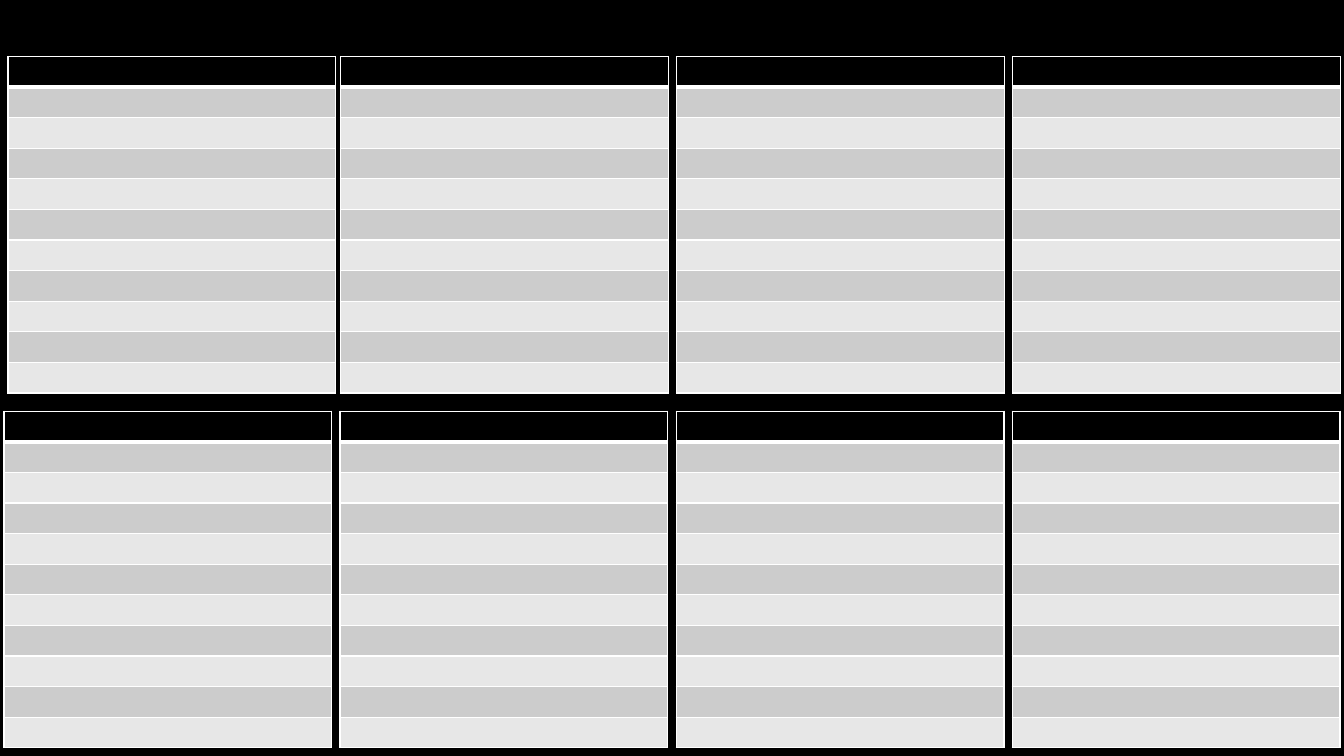
from pptx import Presentation, util as u
from pptx.dml.color import RGBColor
from pptx.oxml import parse_xml
from pptx.oxml.ns import nsdecls

# Each band of blank lists: top edge and the left edge of every list, in cm
PITCH = 8.47
BANDS = [
    {"top": 1.42, "lefts": [0.2] + [8.58 + PITCH * i for i in range(3)]},
    {"top": 10.36, "lefts": [0.1 + PITCH * i for i in range(4)]},
]
ENTRIES = 10
LIST_WIDTH, ROW_HEIGHT = 8.26, 0.75

THEME = {
    "background": "000000",
    "header": "000000",
    "stripes": ("CCCCCC", "E7E7E7"),
    "rule": "FFFFFF",
    "rule_pt": 1,
    "header_rule_pt": 3,
    "font": "Calibri",
    "size_pt": 12,
}
STYLE_OPTIONS = {"first_row": True, "horz_banding": False}


def paint(fill, colour):
    """Give a fill one solid colour."""
    fill.solid()
    fill.fore_color.rgb = RGBColor.from_string(colour)


def rule_cell(cell, widths):
    """Draw the cell borders; widths maps a side letter to points."""
    properties = cell._tc.get_or_add_tcPr()
    for position, (side, points) in enumerate(widths.items()):
        properties.insert(position, parse_xml(
            f'<a:ln{side} {nsdecls("a")} w="{u.Pt(points)}"><a:solidFill>'
            f'<a:srgbClr val="{THEME["rule"]}"/></a:solidFill></a:ln{side}>'))


def set_blank_type(cell):
    """Set the type of an empty cell, which decides its least height."""
    cell.text_frame.paragraphs[0]._p.append(parse_xml(
        f'<a:endParaRPr {nsdecls("a")} sz="{THEME["size_pt"] * 100}">'
        f'<a:latin typeface="{THEME["font"]}"/></a:endParaRPr>'))


def add_blank_list(slide, left, top):
    """Add a one-column list with a dark header and striped entries."""
    rows = ENTRIES + 1
    blank_list = slide.shapes.add_table(
        rows, 1, u.Cm(left), u.Cm(top), u.Cm(LIST_WIDTH),
        u.Cm(ROW_HEIGHT * rows)).table
    for option, value in STYLE_OPTIONS.items():
        setattr(blank_list, option, value)
    for index, row in enumerate(blank_list.rows):
        row.height = u.Cm(ROW_HEIGHT)
        entry = row.cells[0]
        widths = dict.fromkeys("LRTB", THEME["rule_pt"])
        colour = THEME["stripes"][(index - 1) % 2]
        if index == 0:
            widths["B"] = THEME["header_rule_pt"]
            colour = THEME["header"]
        paint(entry.fill, colour)
        rule_cell(entry, widths)
        set_blank_type(entry)


def main():
    """Build the slide of blank lists and save it."""
    deck = Presentation()
    deck.slide_width, deck.slide_height = u.Cm(33.87), u.Cm(19.05)
    slide = deck.slides.add_slide(deck.slide_layouts[6])
    paint(slide.background.fill, THEME["background"])
    for band in BANDS:
        for left in band["lefts"]:
            add_blank_list(slide, left, band["top"])
    deck.save("out.pptx")


main()
